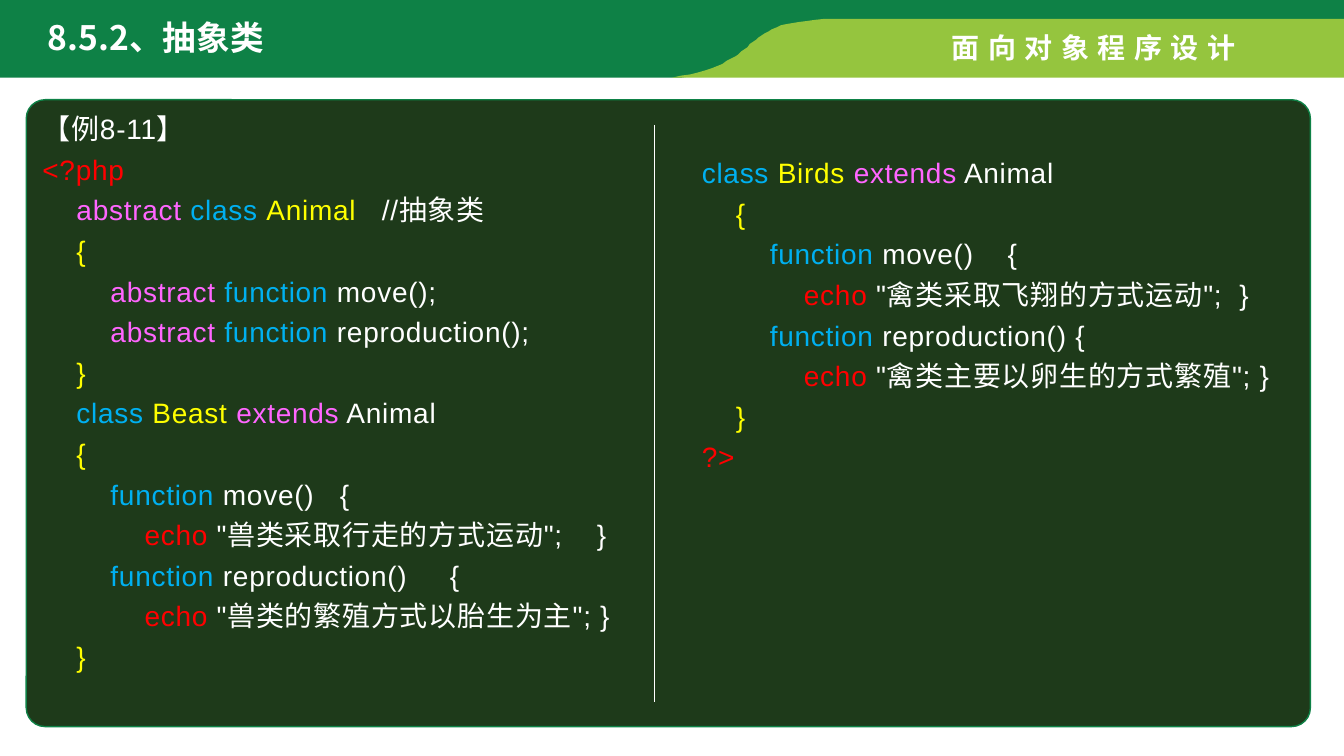
from lxml import etree
from pptx import Presentation
from pptx import util as u
from pptx.dml.color import RGBColor
from pptx.enum import shapes, text
from pptx.oxml import ns

PX = 9525
COLORS = {
    "banner": "0E8146", "ribbon": "95C53E", "panel": "1E3A1A",
    "plain": "FFFFFF", "tag": "FF0000", "modifier": "FF66FF",
    "keyword": "00B0F0", "name": "FFFF00",
}
LATIN, HAN = "Arial", "Noto Sans CJK SC"

ABSTRACT = ("modifier", "abstract ")
CLASS = ("keyword", "class ")
FUNCTION = ("keyword", "function")
EXTENDS = ("modifier", "extends")
ECHO = ("tag", "echo")
OPEN, CLOSE = ("name", "{"), ("name", "}")
PARENT = ("plain", " Animal")

LEFT_CODE = [
    (0, ("plain", "【例8-11】")),
    (0, ("tag", "<?php")),
    (1, ABSTRACT, CLASS, ("name", "Animal "), ("plain", "  //抽象类")),
    (1, OPEN),
    (2, ABSTRACT, FUNCTION, ("plain", " move();")),
    (2, ABSTRACT, FUNCTION, ("plain", " reproduction();")),
    (1, CLOSE),
    (1, CLASS, ("name", "Beast "), EXTENDS, PARENT),
    (1, OPEN),
    (2, FUNCTION, ("plain", " move()   {")),
    (3, ECHO, ("plain", ' "兽类采取行走的方式运动";    }')),
    (2, FUNCTION, ("plain", " reproduction()     {")),
    (3, ECHO, ("plain", ' "兽类的繁殖方式以胎生为主"; }')),
    (1, CLOSE),
]
RIGHT_CODE = [
    (0, CLASS, ("name", "Birds "), EXTENDS, PARENT),
    (1, OPEN),
    (2, FUNCTION, ("plain", " move()    {")),
    (3, ECHO, ("plain", ' "禽类采取飞翔的方式运动";  }')),
    (2, FUNCTION, ("plain", " reproduction() {")),
    (3, ECHO, ("plain", ' "禽类主要以卵生的方式繁殖"; }')),
    (1, CLOSE),
    (0, ("tag", "?>")),
]


def color(name):
    """Return the named colour."""
    return RGBColor.from_string(COLORS[name])


def emu(*lengths):
    """Turn px lengths into EMU."""
    return [u.Emu(length * PX) for length in lengths]


def curve(start, control_1, control_2, end, steps=32):
    """Return points along a cubic curve, without its start."""
    points = []
    for step in range(1, steps + 1):
        t = step / steps
        weights = ((1 - t) ** 3, 3 * t * (1 - t) ** 2, 3 * t * t * (1 - t), t ** 3)
        corners = (start, control_1, control_2, end)
        points.append(tuple(sum(w * corner[axis] for w, corner in zip(weights, corners))
                            for axis in (0, 1)))
    return points


def add_outline(slide, box, points, fill):
    """Draw a closed, filled outline whose points are relative to the box."""
    left, top = box[:2]
    moved = [(left + x, top + y) for x, y in points]
    builder = slide.shapes.build_freeform(*moved[0], scale=PX)
    builder.add_line_segments(moved[1:], close=True)
    shape = builder.convert_to_shape()
    shape.shadow.inherit = False
    shape.fill.solid()
    shape.fill.fore_color.rgb = color(fill)
    shape.line.fill.background()


def add_run(paragraph, words, size, fill="plain", latin=LATIN, bold=False, spacing=0):
    """Add one formatted run, with letter spacing in points."""
    run = paragraph.add_run()
    run.text = words
    run.font.size = u.Pt(size)
    run.font.bold = bold
    run.font.color.rgb = color(fill)
    run.font.name = latin
    properties = run.font._element
    properties.set("spc", str(int(spacing * 100)))
    etree.SubElement(properties, ns.qn("a:ea")).set("typeface", HAN)


def add_banner(slide, box):
    """Draw the banner with its ribbon, title and course name."""
    left, top, width, height = box
    banner = [(0, 0), (width, 0), (width, 26), (794, 26), (777, 30)]
    banner += curve((777, 30), (698, 45), (739, height), (629, height)) + [(0, height)]
    add_outline(slide, box, banner, "banner")
    ribbon = [(805, 21), (width, 21), (width, height), (640, height)]
    ribbon += curve((640, height), (742, 61), (688, 21), (805, 21))[:-1]
    add_outline(slide, box, ribbon, "ribbon")

    course = slide.shapes.add_textbox(*emu(left + 897, top + 27, 300, 42))
    course.text_frame.word_wrap = False
    add_run(course.text_frame.paragraphs[0], "面向对象程序设计", 20, bold=True, spacing=6)

    title = slide.shapes.title
    slide.shapes._spTree.append(title._element)
    title.left, title.top, title.width, title.height = emu(left + 36, top + 14, 462, 48)
    frame = title.text_frame
    frame.auto_size = text.MSO_AUTO_SIZE.NONE
    frame.vertical_anchor = text.MSO_ANCHOR.TOP
    frame.paragraphs[0].alignment = text.PP_ALIGN.LEFT
    add_run(frame.paragraphs[0], "8.5.2、抽象类", 24, latin=HAN, bold=True)


def add_code(slide, box, lines):
    """Write coloured code lines, indented four spaces a level."""
    frame = slide.shapes.add_textbox(*emu(*box)).text_frame
    frame.word_wrap = True
    for index, (level, *tokens) in enumerate(lines):
        paragraph = frame.add_paragraph() if index else frame.paragraphs[0]
        paragraph.line_spacing = u.Pt(29)
        if level:
            add_run(paragraph, "    " * level, 20, spacing=0.5)
        for fill, words in tokens:
            add_run(paragraph, words, 20, fill, spacing=0.5)


def add_code_panel(slide, box):
    """Draw the dark panel with two code columns and a divider."""
    left, top, width, height = box
    panel = slide.shapes.add_shape(shapes.MSO_SHAPE.ROUNDED_RECTANGLE, *emu(*box))
    panel.adjustments[0] = 0.03
    panel.shadow.inherit = False
    panel.fill.solid()
    panel.fill.fore_color.rgb = color("panel")
    panel.line.color.rgb = color("banner")
    panel.line.width = u.Pt(1)

    add_code(slide, (left + 6, top, 575, 557), LEFT_CODE)
    add_code(slide, (left + 634, top + 42, 590, 322), RIGHT_CODE)

    middle = left + 598
    divider = slide.shapes.add_connector(
        shapes.MSO_CONNECTOR.STRAIGHT, *emu(middle, top + 24, middle, top + height - 23))
    divider.line.color.rgb = color("plain")
    divider.line.width = u.Pt(0.75)
    etree.SubElement(divider._element.spPr, ns.qn("a:effectLst"))


def main():
    """Build and save the slide."""
    presentation = Presentation()
    presentation.slide_width, presentation.slide_height = emu(1280, 720)
    slide = presentation.slides.add_slide(presentation.slide_layouts[5])
    add_banner(slide, (0, -3, 1280, 77))
    add_code_panel(slide, (25, 95, 1223, 597))
    presentation.save("out.pptx")


if __name__ == "__main__":
    main()
